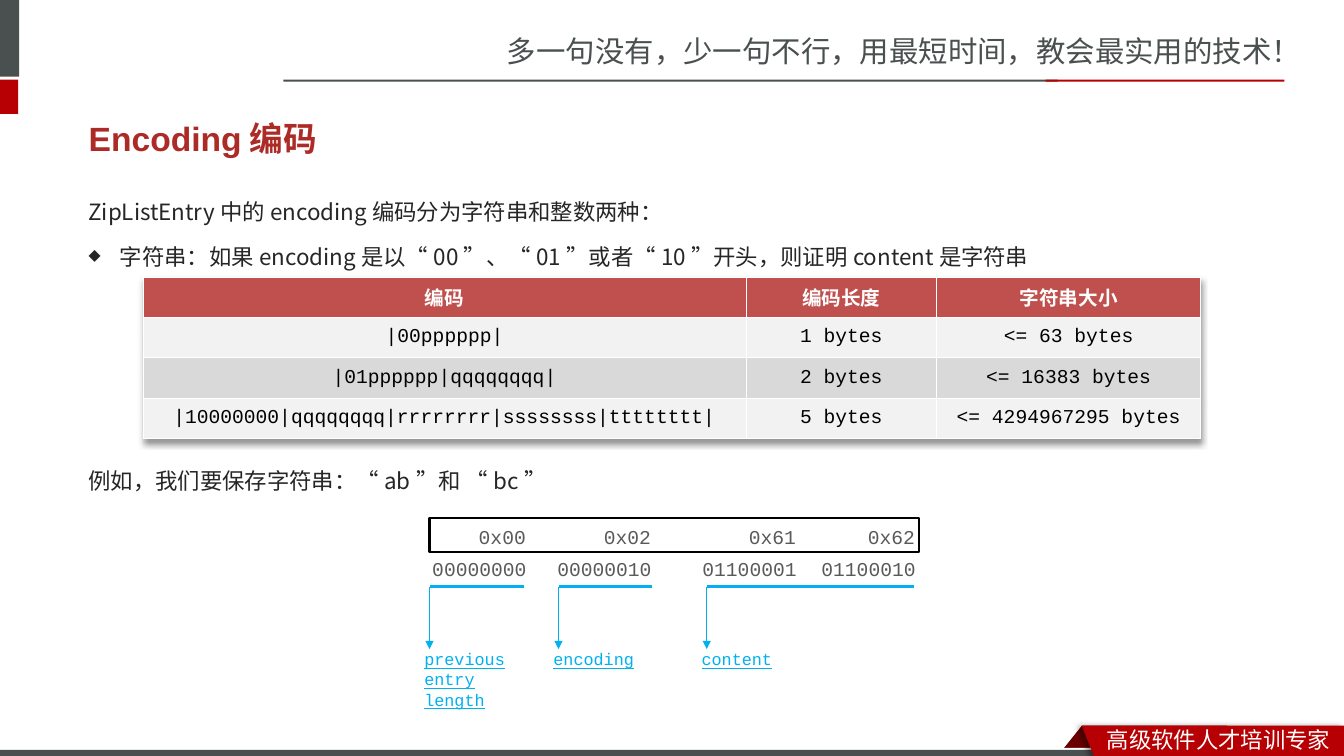
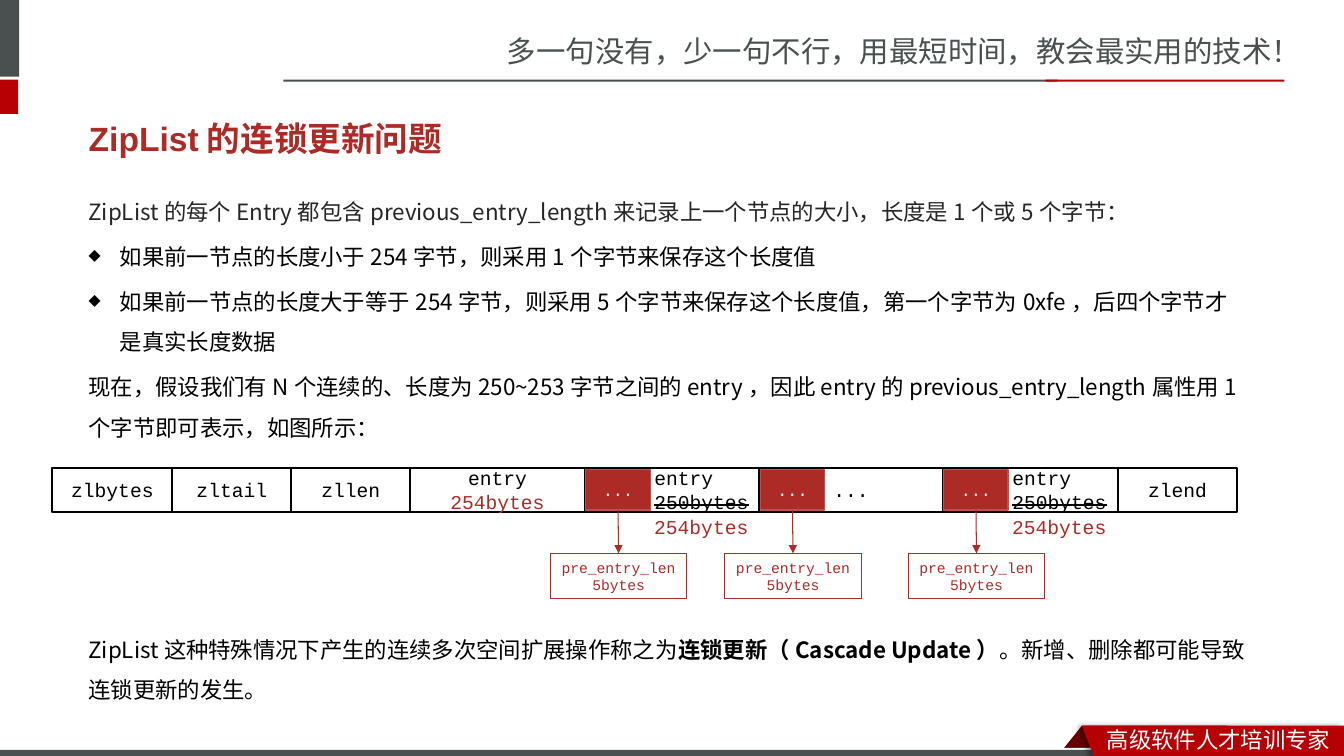
from lxml import etree
from pptx import Presentation
from pptx.dml.color import RGBColor
from pptx.enum.shapes import MSO_CONNECTOR, MSO_SHAPE
from pptx.enum.text import MSO_ANCHOR, MSO_AUTO_SIZE, PP_ALIGN
from pptx.oxml import parse_xml
from pptx.oxml.ns import qn
from pptx.util import Inches, Pt

WHITE = RGBColor(0xFF, 0xFF, 0xFF)
BLACK = RGBColor(0x00, 0x00, 0x00)
SLATE = RGBColor(0x49, 0x50, 0x4F)
RED = RGBColor(0xB6, 0x00, 0x04)
DARK_RED = RGBColor(0x68, 0x00, 0x00)
BRICK = RGBColor(0xAD, 0x2B, 0x26)
ROSE = RGBColor(0xC0, 0x50, 0x4D)
INK = RGBColor(0x26, 0x26, 0x26)
GRAY = RGBColor(0x59, 0x59, 0x59)
LIGHT = RGBColor(0xF2, 0xF2, 0xF2)
SILVER = RGBColor(0xD9, 0xD9, 0xD9)
CYAN = RGBColor(0x00, 0xB0, 0xF0)

SANS = "Noto Sans CJK SC"
BODY = "Noto Sans CJK JP"
MONO = "Courier New"
SHADOW = (
    '<a:outerShdw xmlns:a="http://schemas.openxmlformats.org/drawingml/2006/main"'
    ' blurRad="50800" dist="38100" dir="{}" algn="t" rotWithShape="0">'
    '<a:srgbClr val="000000"><a:alpha val="40000"/></a:srgbClr></a:outerShdw>'
)


def write(tf, lines, size=14, font=MONO, color=BLACK, bold=False, underline=False,
          align=PP_ALIGN.LEFT, spacing=None, before=0, bullets=()):
    """Fill tf; a line is a string or a list of (text, run format) pairs."""
    for i, line in enumerate(lines):
        p = tf.paragraphs[0] if i == 0 else tf.add_paragraph()
        p.alignment = align
        if spacing:
            p.line_spacing = spacing
        if i and before:
            p.space_before = Pt(before)
        if i in bullets:
            pPr = p._p.get_or_add_pPr()
            pPr.set("marL", str(Inches(0.31)))
            pPr.set("indent", str(-Inches(0.31)))
            etree.SubElement(pPr, qn("a:buSzPct")).set("val", "70000")
            etree.SubElement(pPr, qn("a:buChar")).set("char", "◆")
        for text, fmt in [(line, {})] if isinstance(line, str) else line:
            r = p.add_run()
            r.text = text
            r.font.size = Pt(size)
            r.font.bold = fmt.get("bold", bold)
            r.font.underline = underline
            r.font.color.rgb = fmt.get("color", color)
            r.font.name = font
            rPr = r._r.get_or_add_rPr()
            if fmt.get("strike"):
                rPr.set("strike", "sngStrike")
            east = font if font == BODY else SANS
            etree.SubElement(rPr, qn("a:ea")).set("typeface", east)


def add_box(s, left, top, width, height, fill=None, line=None, weight=1.5,
            shape=MSO_SHAPE.RECTANGLE, wrap=True):
    """Add a preset shape, or a text box when there is neither fill nor line."""
    at = [Inches(v) for v in (left, top, width, height)]
    if fill is None and line is None:
        sp = s.shapes.add_textbox(*at)
    else:
        sp = s.shapes.add_shape(shape, *at)
        sp.shadow.inherit = False
        if fill is None:
            sp.fill.background()
        else:
            sp.fill.solid()
            sp.fill.fore_color.rgb = fill
        if line is None:
            sp.line.fill.background()
        else:
            sp.line.color.rgb = line
            sp.line.width = Pt(weight)
        sp.text_frame.vertical_anchor = MSO_ANCHOR.MIDDLE
        sp.text_frame.margin_top = sp.text_frame.margin_bottom = 0
    sp.text_frame.word_wrap = wrap
    return sp


prs = Presentation()
prs.slide_width = Inches(13.33)
prs.slide_height = Inches(7.5)
layout = prs.slide_layouts[5]
for ph in list(layout.placeholders):
    if ph.placeholder_format.idx == 0:
        ph.left, ph.top = Inches(0.78), Inches(1.16)
        ph.width, ph.height = Inches(11.7), Inches(0.42)
    else:
        ph.element.getparent().remove(ph.element)

slides = []
for title in ("Encoding编码", "ZipList的连锁更新问题"):
    s = prs.slides.add_slide(layout)
    tf = s.shapes.title.text_frame
    tf.vertical_anchor = MSO_ANCHOR.MIDDLE
    tf.auto_size = MSO_AUTO_SIZE.NONE
    write(tf, [title], size=24, font="Arial", color=BRICK, bold=True)
    slides.append(s)
encoding, cascade = slides

# Shared bands, header and footer: drawn once, then moved to the layout
s = encoding
fold = add_box(s, 10.49, 7.2, 1.68, 0.3, DARK_RED, shape=MSO_SHAPE.PARALLELOGRAM)
fold.adjustments[0] = 0.8
for left, top, width, height, color in (
    (0, 7.42, 13.33, 0.11, WHITE),
    (-0.06, 0, 0.25, 0.76, SLATE),
    (-0.06, 0.79, 0.24, 0.34, RED),
    (2.81, 0.79, 7.68, 0.02, SLATE),
    (10.37, 0.79, 2.37, 0.02, RED),
    (0, 7.44, 10.99, 0.09, SLATE),
):
    add_box(s, left, top, width, height, color)
outline = s.shapes.build_freeform(Inches(10.73), Inches(7.2))
outline.add_line_segments(
    [(Inches(x), Inches(y)) for x, y in ((13.33, 7.2), (13.33, 7.54), (10.86, 7.53))])
ribbon = outline.convert_to_shape()
ribbon.fill.solid()
ribbon.fill.fore_color.rgb = RED
ribbon.line.fill.background()
ribbon.shadow.inherit = False
effects = ribbon.element.spPr.find(qn("a:effectLst"))
effects.append(parse_xml(SHADOW.format(10800000)))
slogan = add_box(s, 4.93, 0.28, 8.41, 0.47)
write(slogan.text_frame, ["多一句没有，少一句不行，用最短时间，教会最实用的技术！"],
      size=21, font=SANS, color=SLATE)
footer = add_box(s, 10.88, 7.15, 2.45, 0.37)
write(footer.text_frame, ["高级软件人才培训专家"], size=16, font=SANS, color=WHITE)
for sp in list(s.shapes):
    if not sp.is_placeholder:
        layout.shapes.element.append(sp.element)

lines = []  # (connector, colour, weight, has arrowhead)

# Slide 1: string encodings
body = dict(size=16, font=BODY, spacing=1.5, before=3.5)
intro = add_box(s, 0.78, 1.78, 11.7, 0.95)
write(intro.text_frame, [
    "ZipListEntry中的encoding编码分为字符串和整数两种：",
    "字符串：如果encoding是以“00”、“01”或者“10”开头，则证明content是字符串",
], color=INK, bullets=(1,), **body)
example = add_box(s, 0.78, 4.45, 11.7, 0.5)
write(example.text_frame, ["例如，我们要保存字符串：“ab”和 “bc”"], color=INK, **body)

rows = (
    ("编码", "编码长度", "字符串大小"),
    ("|00pppppp|", "1 bytes", "<= 63 bytes"),
    ("|01pppppp|qqqqqqqq|", "2 bytes", "<= 16383 bytes"),
    ("|10000000|qqqqqqqq|rrrrrrrr|ssssssss|tttttttt|", "5 bytes",
     "<= 4294967295 bytes"),
)
table = s.shapes.add_table(4, 3, Inches(1.42), Inches(2.75),
                           Inches(10.49), Inches(1.6)).table
table.horz_banding = False
for column, width in zip(table.columns, (5.98, 1.89, 2.62)):
    column.width = Inches(width)
for i, row in enumerate(rows):
    for j, text in enumerate(row):
        cell = table.cell(i, j)
        cell.vertical_anchor = MSO_ANCHOR.MIDDLE
        cell.margin_left = cell.margin_right = Inches(0.08)
        cell.margin_top = cell.margin_bottom = Inches(0.04)
        cell.fill.solid()
        cell.fill.fore_color.rgb = (ROSE, LIGHT, SILVER, LIGHT)[i]
        write(cell.text_frame, [text], color=BLACK if i else WHITE,
              bold=i == 0, align=PP_ALIGN.CENTER)
effects = etree.Element(qn("a:effectLst"))
effects.append(parse_xml(SHADOW.format(5400000)))
table._tbl.tblPr.insert(0, effects)

add_box(s, 4.26, 5.14, 4.86, 0.34, WHITE, BLACK)
for left, code, bits in (
    (4.08, "0x00", "00000000"),
    (5.32, "0x02", "00000010"),
    (6.76, "0x61", "01100001"),
    (7.94, "0x62", "01100010"),
):
    sp = add_box(s, left + 0.57, 5.16, 0.67, 0.34, wrap=False)
    write(sp.text_frame, [code], color=GRAY)
    sp = add_box(s, left, 5.48, 1.35, 0.34)
    write(sp.text_frame, [bits], color=GRAY, align=PP_ALIGN.CENTER)

for left, right, label in (
    (4.26, 5.2, "previous entry length"),
    (5.54, 6.47, "encoding"),
    (7.01, 9.07, "content"),
):
    for x, y, weight, head in ((right, 5.82, 2.25, False), (left, 6.44, 0.75, True)):
        c = s.shapes.add_connector(MSO_CONNECTOR.STRAIGHT, Inches(left), Inches(5.82),
                                   Inches(x), Inches(y))
        lines.append((c, CYAN, weight, head))
    sp = add_box(s, left - 0.15, 6.39, 1.07, 0.3)
    write(sp.text_frame, [label], size=12, color=CYAN, underline=True)

# Slide 2: cascade update
s = cascade
intro = add_box(s, 0.78, 1.78, 11.7, 2.65)
write(intro.text_frame, [
    [("ZipList的每个Entry都包含previous_entry_length来记录上一个节点的大小，"
      "长度是1个或5个字节：", {"color": INK})],
    "如果前一节点的长度小于254字节，则采用1个字节来保存这个长度值",
    "如果前一节点的长度大于等于254字节，则采用5个字节来保存这个长度值，"
    "第一个字节为0xfe，后四个字节才是真实长度数据",
    "现在，假设我们有N个连续的、长度为250~253字节之间的entry，"
    "因此entry的previous_entry_length属性用1个字节即可表示，如图所示：",
], bullets=(1, 2), **body)

old_entry = ["entry", [("250bytes", {"strike": True})]]
new_entry = ["entry", [("254bytes", {"color": BRICK})]]
left = 0.52
for width, text, has_length in (
    (1.19, ["zlbytes"], False),
    (1.18, ["zltail"], False),
    (1.18, ["zllen"], False),
    (1.73, new_entry, False),
    (1.73, old_entry, True),
    (1.82, ["..."], True),
    (1.74, old_entry, True),
    (1.18, ["zlend"], False),
):
    sp = add_box(s, left, 4.64, width, 0.44, WHITE, BLACK)
    if text is old_entry:
        sp.text_frame.margin_left = Inches(0.69)
        sp.text_frame.margin_right = 0
        write(sp.text_frame, text)
        grown = add_box(s, left + 0.59, 5.06, 1.14, 0.34, wrap=False)
        write(grown.text_frame, ["254bytes"], color=BRICK)
    else:
        write(sp.text_frame, text, align=PP_ALIGN.CENTER)
    if has_length:
        mark = add_box(s, left + 0.01, 4.66, 0.64, 0.4, BRICK, ROSE, 1)
        write(mark.text_frame, ["..."], size=12, color=WHITE, align=PP_ALIGN.CENTER)
        note = add_box(s, left - 0.34, 5.49, 1.35, 0.45, line=BRICK, weight=0.75)
        write(note.text_frame, ["pre_entry_len", "5bytes"], size=10.5, color=BRICK,
              align=PP_ALIGN.CENTER)
        c = s.shapes.add_connector(MSO_CONNECTOR.STRAIGHT, 0, 0, 0, 0)
        c.begin_connect(mark, 2)
        c.end_connect(note, 0)
        lines.append((c, BRICK, 0.75, True))
    left += width

summary = add_box(s, 0.78, 6.13, 11.7, 1.05)
write(summary.text_frame, [[
    ("ZipList这种特殊情况下产生的连续多次空间扩展操作称之为", {}),
    ("连锁更新（Cascade Update）", {"bold": True}),
    ("。新增、删除都可能导致连锁更新的发生。", {}),
]], **body)

for c, color, weight, head in lines:
    c.line.color.rgb = color
    c.line.width = Pt(weight)
    if head:
        etree.SubElement(c.line._get_or_add_ln(), qn("a:tailEnd")).set("type", "triangle")
    etree.SubElement(c.element.spPr, qn("a:effectLst"))

prs.save("out.pptx")
